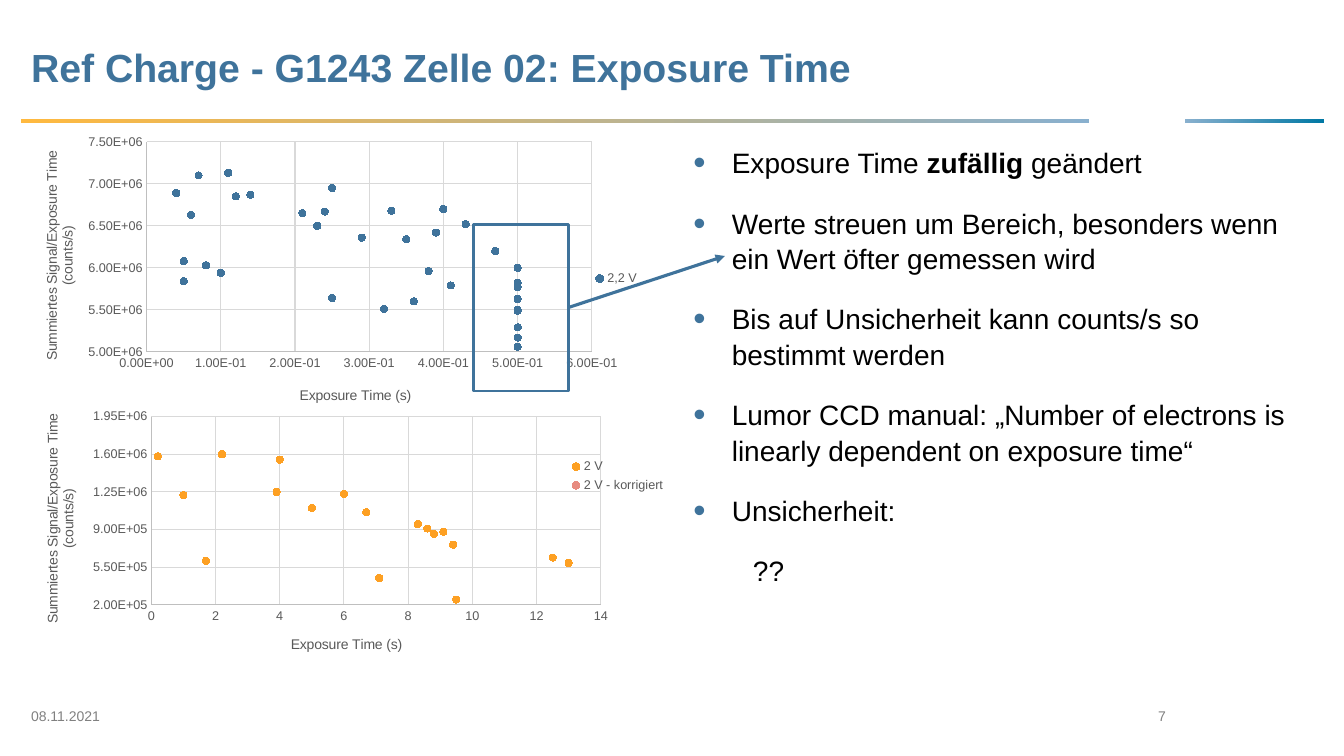
from dataclasses import dataclass

from lxml import etree
from pptx import Presentation
from pptx import util as u
from pptx.chart import data as chartdata
from pptx.dml import color
from pptx.enum import chart as charts, shapes, text
from pptx.oxml import ns, parse_xml


@dataclass(frozen=True)
class Theme:
    font: str = "Arial"
    blue: str = "3F739B"
    orange: str = "FDA023"
    coral: str = "E78B80"
    amber: str = "FFB93F"
    sky: str = "89B0CE"
    ocean: str = "0078A4"
    black: str = "000000"
    footer: str = "808080"
    label: str = "595959"
    axis: str = "BFBFBF"
    grid: str = "D9D9D9"
    title_size: int = 28
    body_size: int = 20
    small_size: int = 10
    label_size: int = 9


THEME = Theme()


def rgb(value):
    return color.RGBColor.from_string(value)


def style_font(font, size, tone, bold=False):
    font.name, font.size, font.bold = THEME.font, u.Pt(size), bold
    font.color.rgb = rgb(tone)


def style_line(line, tone, width):
    line.color.rgb, line.width = rgb(tone), u.Pt(width)


def add_span(para, content, size=THEME.body_size, tone=THEME.black, bold=False):
    span = para.add_run()
    span.text = content
    style_font(span.font, size, tone, bold)


def add_bullet(para):
    properties = para._p.get_or_add_pPr()
    tone = etree.SubElement(properties, ns.qn("a:buClr"))
    etree.SubElement(tone, ns.qn("a:srgbClr"), val=THEME.blue)
    etree.SubElement(properties, ns.qn("a:buSzPct"), val="125000")
    etree.SubElement(properties, ns.qn("a:buFont"), typeface=THEME.font)
    etree.SubElement(properties, ns.qn("a:buChar"), char="•")


def set_layout(parent, index, target=None, **fractions):
    for previous in parent.findall(ns.qn("c:layout")):
        parent.remove(previous)
    layout = parse_xml(f"<c:layout {ns.nsdecls('c')}><c:manualLayout/></c:layout>")
    manual = layout[0]
    if target:
        etree.SubElement(manual, ns.qn("c:layoutTarget"), val=target)
    for side in "xy":
        etree.SubElement(manual, ns.qn(f"c:{side}Mode"), val="edge")
    for side, fraction in fractions.items():
        etree.SubElement(manual, ns.qn(f"c:{side}"), val=str(fraction))
    parent.insert(index, layout)


class SlideBuilder:
    def __init__(self, page, theme):
        self.page = page
        self.theme = theme

    def shape(self, *place):
        box = self.page.shapes.add_shape(shapes.MSO_SHAPE.RECTANGLE, *map(u.Inches, place))
        box.shadow.inherit = False
        return box

    def gradient_bar(self, place, *tones):
        bar = self.shape(*place)
        bar.line.fill.background()
        bar.fill.gradient()
        bar.fill.gradient_angle = 0
        for stop, position, tone in zip(bar.fill.gradient_stops, (0, 1), tones):
            stop.position, stop.color.rgb = position, rgb(tone)

    def frame(self, *place):
        box = self.shape(*place)
        box.fill.background()
        style_line(box.line, self.theme.blue, 2)

    def arrow(self, start, end):
        line = self.page.shapes.add_connector(
            shapes.MSO_CONNECTOR.STRAIGHT, *map(u.Inches, start + end))
        style_line(line.line, self.theme.blue, 2.25)
        etree.SubElement(line.line._get_or_add_ln(), ns.qn("a:tailEnd"), type="triangle")
        etree.SubElement(line._element.spPr, ns.qn("a:effectLst"))

    def text_frame(self, place, anchor=text.MSO_ANCHOR.MIDDLE):
        box = self.page.shapes.add_textbox(*map(u.Inches, place))
        box.text_frame.word_wrap = True
        box.text_frame.vertical_anchor = anchor
        return box.text_frame

    def label(self, place, content, align=text.PP_ALIGN.LEFT, **style):
        para = self.text_frame(place).paragraphs[0]
        para.alignment = align
        add_span(para, content, **style)

    def body(self, place, entries):
        frame = self.text_frame(place, text.MSO_ANCHOR.TOP)
        for number, (bulleted, spans) in enumerate(entries):
            para = frame.add_paragraph() if number else frame.paragraphs[0]
            para.space_after, para.line_spacing = u.Pt(18), 1.05
            properties = para._p.get_or_add_pPr()
            properties.set("marL", str(u.Inches(0.38 if bulleted else 0.59)))
            properties.set("indent", str(u.Inches(-0.38 if bulleted else 0)))
            if bulleted:
                add_bullet(para)
            for content, bold in spans:
                add_span(para, content, bold=bold)

    def axis(self, axis, title, place, scale, number_format, turned=False):
        axis.minimum_scale, axis.maximum_scale, axis.major_unit = scale
        axis.has_major_gridlines = True
        style_line(axis.major_gridlines.format.line, self.theme.grid, 0.75)
        style_line(axis.format.line, self.theme.axis, 0.75)
        axis.major_tick_mark = axis.minor_tick_mark = charts.XL_TICK_MARK.NONE
        axis.tick_labels.number_format = number_format
        axis.tick_labels.number_format_is_linked = False
        style_font(axis.tick_labels.font, self.theme.label_size, self.theme.label)
        frame = axis.axis_title.text_frame
        add_span(frame.paragraphs[0], title, self.theme.small_size, self.theme.label)
        if turned:
            frame._txBody.bodyPr.set("rot", "-5400000")
            frame._txBody.bodyPr.set("vert", "horz")
        set_layout(axis.axis_title._element, 1, x=place[0], y=place[1])

    def scatter(self, place, series, plot, legend, horizontal, vertical):
        values = chartdata.XyChartData()
        for name, tone, points in series:
            entry = values.add_series(name)
            for x, y in points:
                entry.add_data_point(x, y * 10000)
        chart = self.page.shapes.add_chart(
            charts.XL_CHART_TYPE.XY_SCATTER, *map(u.Inches, place), values).chart
        chart.has_title = False
        style_font(chart.font, self.theme.small_size, self.theme.black)
        chart.plots[0].vary_by_categories = False
        for drawn, (name, tone, points) in zip(chart.plots[0].series, series):
            drawn.format.line.fill.background()
            drawn.marker.style, drawn.marker.size = charts.XL_MARKER_STYLE.CIRCLE, 5
            drawn.marker.format.fill.solid()
            drawn.marker.format.fill.fore_color.rgb = rgb(tone)
            style_line(drawn.marker.format.line, tone, 0.75)
        self.axis(chart.category_axis, "Exposure Time (s)", *horizontal)
        self.axis(chart.value_axis, "Summiertes Signal/Exposure Time (counts/s)",
                  *vertical, turned=True)
        chart.has_legend = True
        chart.legend.position = charts.XL_LEGEND_POSITION.RIGHT
        chart.legend.include_in_layout = False
        style_font(chart.legend.font, self.theme.label_size, self.theme.label)
        set_layout(chart.legend._element, 1, x=legend[0], y=legend[1])
        set_layout(chart._chartSpace.chart.plotArea, 0, "inner", **dict(zip("xywh", plot)))


HIGH_VOLTAGE = [
    (0.05, 584), (0.5, 437), (0.25, 564), (0.5, 478), (0.32, 551), (0.5, 498), (0.1, 594),
    (0.5, 506), (0.36, 560), (0.5, 517), (0.08, 603), (0.5, 529), (0.05, 608), (0.5, 549),
    (0.41, 579), (0.5, 550), (0.29, 636), (0.5, 563), (0.38, 596), (0.5, 577), (0.23, 650),
    (0.5, 582), (0.24, 667), (0.5, 600), (0.47, 620), (0.5, 600), (0.21, 665), (0.35, 634),
    (0.06, 663), (0.14, 687), (0.39, 642), (0.25, 695), (0.12, 685), (0.43, 652),
    (0.04, 689), (0.33, 668), (0.11, 713), (0.4, 670), (0.07, 710)]
LOW_VOLTAGE = [
    (1, 122), (5, 110), (9.5, 25), (7.1, 45), (13, 59), (9.4, 76), (1.7, 61), (12.5, 64),
    (8.8, 86), (6.7, 106), (8.6, 91), (3.9, 125), (6, 123), (8.3, 95), (0.2, 158),
    (9.1, 88), (4, 155), (2.2, 160)]
CORRECTED = [LOW_VOLTAGE[number] for number in (0, 2, 3, 6, 14, 17)]
SCIENTIFIC = "0.00E+00"


def main():
    deck = Presentation()
    deck.slide_width, deck.slide_height = u.Inches(13.33), u.Inches(7.5)
    builder = SlideBuilder(deck.slides.add_slide(deck.slide_layouts[6]), THEME)
    builder.gradient_bar((0.21, 1.18, 10.59, 0.04), THEME.amber, THEME.sky)
    builder.gradient_bar((11.75, 1.18, 1.38, 0.04), THEME.sky, THEME.ocean)
    builder.label((0.21, 0.2, 10.43, 0.92), "Ref Charge - G1243 Zelle 02: Exposure Time",
                  size=THEME.title_size, tone=THEME.blue, bold=True)
    builder.body((6.78, 1.38, 6.34, 5.31), [
        (True, [("Exposure Time ", False), ("zufällig", True), (" geändert", False)]),
        (True, [("Werte streuen um Bereich, besonders wenn ein Wert öfter gemessen wird", False)]),
        (True, [("Bis auf Unsicherheit kann counts/s so bestimmt werden", False)]),
        (True, [("Lumor CCD manual: „Number of electrons is linearly dependent on "
                 "exposure time“", False)]),
        (True, [("Unsicherheit:", False)]),
        (False, [("??", False)])])
    footer = dict(size=THEME.small_size, tone=THEME.footer)
    builder.label((10.87, 6.91, 0.79, 0.39), "7", text.PP_ALIGN.RIGHT, **footer)
    builder.label((0.21, 6.91, 1.08, 0.39), "08.11.2021", **footer)
    builder.scatter(
        (0.21, 1.19, 6.22, 3.11), [("2,2 V", THEME.blue, HIGH_VOLTAGE)],
        plot=(0.2, 0.07, 0.71, 0.67), legend=(0.91, 0.47),
        horizontal=((0.44, 0.84), (0, 0.6, 0.1), SCIENTIFIC),
        vertical=((0.03, 0.09), (5000000, 7500000, 500000), SCIENTIFIC))
    builder.scatter(
        (0.21, 3.94, 6.46, 2.75),
        [("2 V", THEME.orange, LOW_VOLTAGE), ("2 V - korrigiert", THEME.coral, CORRECTED)],
        plot=(0.2, 0.07, 0.69, 0.68), legend=(0.84, 0.21),
        horizontal=((0.41, 0.85), (0, 14, 2), "General"),
        vertical=((0.03, 0.05), (200000, 1950000, 350000), SCIENTIFIC))
    builder.frame(4.7, 2.23, 0.94, 1.65)
    builder.arrow((5.64, 3.05), (7.19, 2.54))
    deck.save("out.pptx")


if __name__ == "__main__":
    main()
